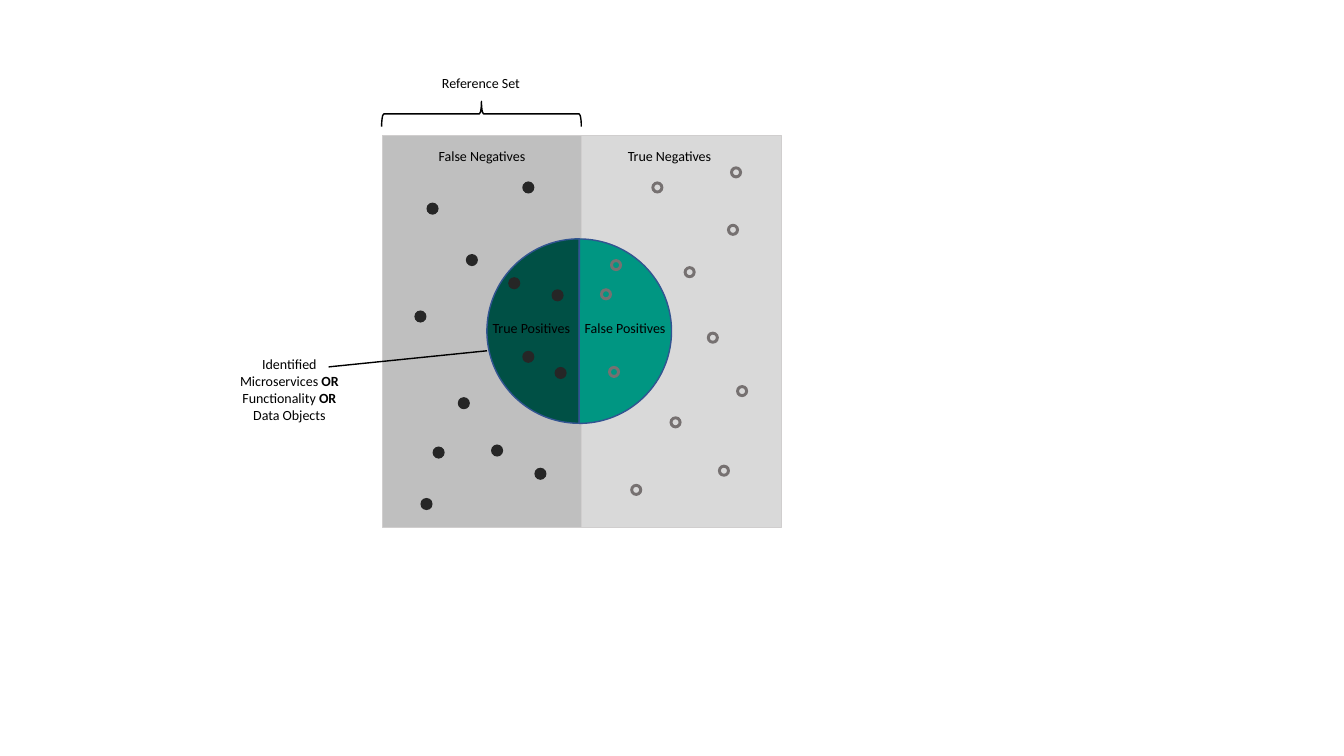
import pptx
import pptx.dml.color
import pptx.enum.shapes
import pptx.enum.text
import pptx.oxml.ns
import pptx.util
import lxml.etree

Inches = pptx.util.Inches
SHAPE = pptx.enum.shapes.MSO_SHAPE
THEME = {
    "font": "Calibri", "size": 10, "text": "000000",
    "reference": "BFBFBF", "rest": "D9D9D9", "border": "D0CECE",
    "true_pos": "005045", "false_pos": "009682", "circle_line": "325491",
    "dot": "262626", "ring": "767171",
}

prs = pptx.Presentation()
prs.slide_width, prs.slide_height = Inches(13.33), Inches(7.5)
s = prs.slides.add_slide(prs.slide_layouts[6])


def add_shape(kind, left, top, width, height, fill=None, line=None, weight=1, rotation=0):
    """Add a shadowless preset shape; fill and line name theme colours."""
    sp = s.shapes.add_shape(kind, Inches(left), Inches(top), Inches(width), Inches(height))
    sp.shadow.inherit = False
    sp.rotation = rotation
    if fill:
        sp.fill.solid()
        sp.fill.fore_color.rgb = pptx.dml.color.RGBColor.from_string(THEME[fill])
    else:
        sp.fill.background()
    if line:
        sp.line.color.rgb = pptx.dml.color.RGBColor.from_string(THEME[line])
        sp.line.width = pptx.util.Pt(weight)
    else:
        sp.line.fill.background()
    return sp


def add_text(text, left, top, width=1.24, height=0.27, bold_word=None):
    """Add a centred label, with every occurrence of bold_word in bold."""
    tb = s.shapes.add_textbox(Inches(left), Inches(top), Inches(width), Inches(height))
    tf = tb.text_frame
    tf.word_wrap = True
    tf.auto_size = pptx.enum.text.MSO_AUTO_SIZE.SHAPE_TO_FIT_TEXT
    p = tf.paragraphs[0]
    p.alignment = pptx.enum.text.PP_ALIGN.CENTER
    for i, part in enumerate(text.split(bold_word) if bold_word else [text]):
        for words, bold in ([(bold_word, True)] if i else []) + [(part, False)]:
            r = p.add_run()
            r.text = words
            r.font.bold = bold
            r.font.name = THEME["font"]
            r.font.size = pptx.util.Pt(THEME["size"])
            r.font.color.rgb = pptx.dml.color.RGBColor.from_string(THEME["text"])


# Reference set on the left, everything else on the right
left, top, half_w, half_h = 3.79, 1.34, 1.98, 3.89
for i, fill in enumerate(("reference", "rest")):
    add_shape(SHAPE.RECTANGLE, left + i * half_w, top, half_w, half_h, fill, "border", 0.5)

# Circle of identified items, as two half pies
for fill, rotation in (("true_pos", 0), ("false_pos", 180)):
    pie = add_shape(SHAPE.PIE, 4.83, 2.37, 1.83, 1.83, fill, "circle_line", rotation=rotation)
    pie.adjustments[0], pie.adjustments[1] = 54.075, 162

# Relevant items are dots, irrelevant ones are rings
dots = [(4.23, 2.01), (4.62, 2.52), (4.54, 3.94), (5.18, 1.8), (5.04, 2.75),
        (5.18, 3.48), (5.47, 2.87), (4.11, 3.08), (5.5, 3.64), (4.29, 4.43),
        (4.17, 4.94), (4.87, 4.41), (5.3, 4.64)]
rings = [(6.46, 1.8), (6.78, 2.64), (7.21, 2.22), (7.24, 1.65), (7.01, 3.29),
         (7.3, 3.82), (7.12, 4.61), (6.64, 4.13), (6.25, 4.8), (6.03, 3.63),
         (6.05, 2.57), (5.95, 2.86)]
for kind, fill, points in ((SHAPE.OVAL, "dot", dots), (SHAPE.DONUT, "ring", rings)):
    for x, y in points:
        add_shape(kind, x, y, 0.12, 0.12, fill)

# Brace over the reference set, turned to point up
add_shape(SHAPE.LEFT_BRACE, 4.65, 0.14, 0.25, half_w, line="text", rotation=90)

for text, x, y in (("Reference Set", 4.15, 0.69), ("False Negatives", 4.16, 1.41),
                   ("True Negatives", 6.02, 1.41), ("False Positives", 5.58, 3.12),
                   ("True Positives", 4.65, 3.12)):
    add_text(text, x, y)

# Callout for the circle
cxn = s.shapes.add_connector(pptx.enum.shapes.MSO_CONNECTOR.STRAIGHT,
                             Inches(4.83), Inches(3.48), Inches(3.26), Inches(3.64))
cxn.line.color.rgb = pptx.dml.color.RGBColor.from_string(THEME["text"])
cxn.line.width = pptx.util.Pt(1)
lxml.etree.SubElement(cxn._element.spPr, pptx.oxml.ns.qn("a:effectLst"))
add_text("Identified Microservices OR Functionality OR Data Objects",
         2.25, 3.48, height=0.77, bold_word="OR")

prs.save("out.pptx")
